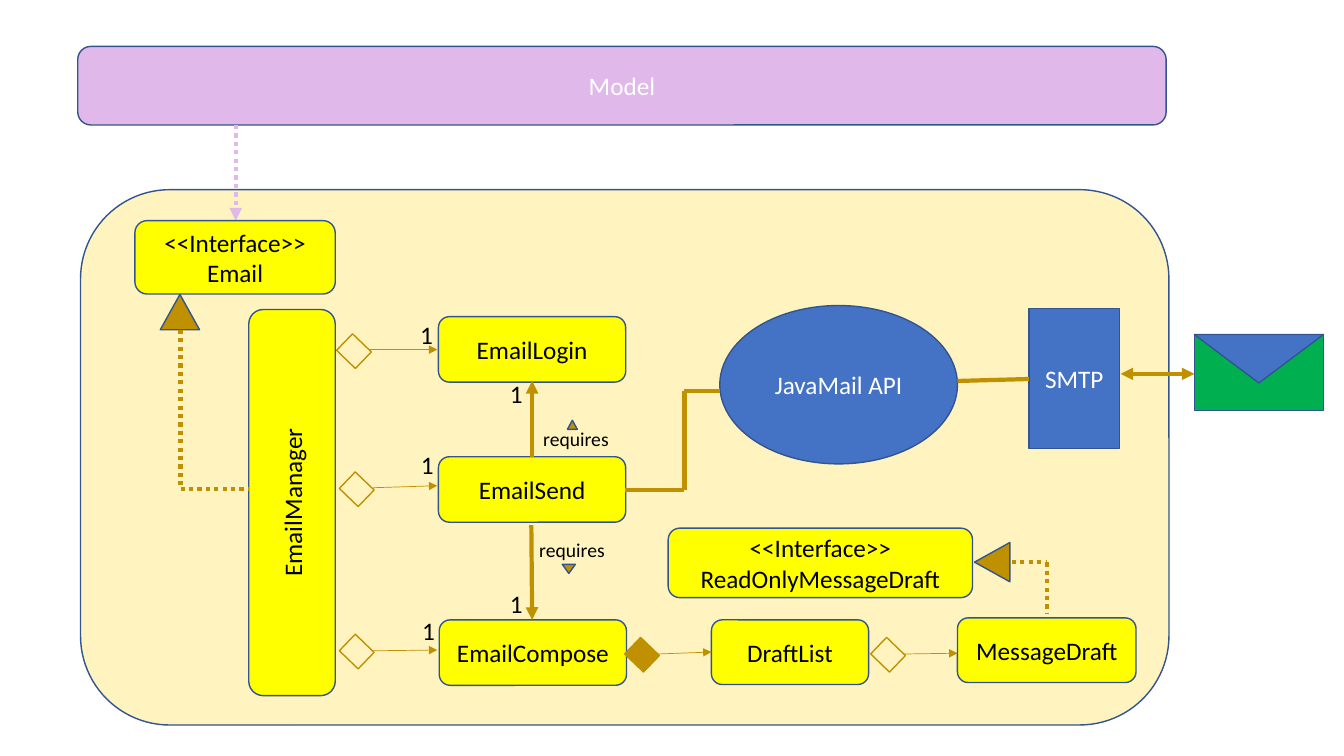
from itertools import pairwise

from lxml.etree import SubElement
from pptx import Presentation
from pptx.dml.color import RGBColor
from pptx.enum.dml import MSO_LINE
from pptx.enum.shapes import MSO_CONNECTOR, MSO_SHAPE
from pptx.enum.text import MSO_ANCHOR, PP_ALIGN
from pptx.oxml.ns import qn
from pptx.util import Cm, Pt

YELLOW, GOLD, CREAM = "FFFF00", "BF9000", "FFF3BF"
LILAC, BLUE, GREEN = "E0B9EA", "4472C4", "00B050"
OUTLINE, BLACK, WHITE = "325491", "000000", "FFFFFF"

ROUNDED = MSO_SHAPE.ROUNDED_RECTANGLE
RECTANGLE = MSO_SHAPE.RECTANGLE
TRIANGLE = MSO_SHAPE.ISOSCELES_TRIANGLE

CLASS_SIZE = (4.72, 1.65)
HEAD_SIZE = (0.99, 0.89)
MARK_SIZE = (0.33, 0.23)


def colour(value):
    return RGBColor.from_string(value)


def write(frame, text, text_colour, size=18, align=PP_ALIGN.CENTER):
    frame.word_wrap = True
    font_format = {"name": "Calibri", "size": Pt(size)}
    for index, line in enumerate(text.split("\n")):
        para = frame.paragraphs[0] if index == 0 else frame.add_paragraph()
        para.alignment = align
        span = para.add_run()
        span.text = line
        for name, value in font_format.items():
            setattr(span.font, name, value)
        span.font.color.rgb = colour(text_colour)


def add_figure(shapes, kind, place, size, fill, outline=OUTLINE, rotation=0):
    figure = shapes.add_shape(kind, *map(Cm, place + size))
    figure.shadow.inherit = False
    figure.rotation = rotation
    figure.fill.solid()
    figure.fill.fore_color.rgb = colour(fill)
    figure.line.color.rgb = colour(outline)
    figure.line.width = Pt(1)
    return figure


def add_box(shapes, text, place, size, fill=YELLOW, text_colour=BLACK, kind=ROUNDED):
    box = add_figure(shapes, kind, place, size, fill)
    box.text_frame.vertical_anchor = MSO_ANCHOR.MIDDLE
    write(box.text_frame, text, text_colour)
    return box


def add_diamond(shapes, place, fill=CREAM):
    add_figure(shapes, RECTANGLE, place, (0.66, 0.58), fill, GOLD, 43.9)


def add_label(shapes, text, place, size, points):
    label = shapes.add_textbox(*map(Cm, place + size))
    write(label.text_frame, text, BLACK, points, PP_ALIGN.LEFT)


def add_line(shapes, start, end, width=3, line_colour=GOLD, dotted=False, ends=()):
    line = shapes.add_connector(MSO_CONNECTOR.STRAIGHT, *map(Cm, start + end))
    line.line.color.rgb = colour(line_colour)
    line.line.width = Pt(width)
    if dotted:
        line.line.dash_style = MSO_LINE.ROUND_DOT
    for end_name in ends:
        SubElement(line.get_or_add_ln(), qn(f"a:{end_name}"), type="triangle")
    SubElement(line.element.spPr, qn("a:effectLst"))


def add_path(shapes, points, dotted=False):
    for start, end in pairwise(points):
        add_line(shapes, start, end, dotted=dotted)


def add_envelope(shapes):
    envelope = shapes.add_group_shape().shapes
    place = (30.1, 8.43)
    add_figure(envelope, RECTANGLE, place, (3.25, 1.91), GREEN)
    add_figure(envelope, TRIANGLE, place, (3.25, 1.22), BLUE, rotation=180)


def add_layers(shapes):
    add_box(shapes, "Model", (1.96, 1.17), (27.43, 1.98), LILAC, WHITE)
    add_figure(shapes, ROUNDED, (2.03, 4.78), (27.43, 13.49), CREAM)
    add_line(shapes, (5.94, 3.15), (5.94, 5.56), line_colour=LILAC,
             dotted=True, ends=("tailEnd",))


def add_classes(shapes):
    manager = add_box(shapes, "EmailManager", (6.27, 7.8), (2.18, 9.73))
    manager.element.txBody.bodyPr.set("vert", "vert270")
    for text, place, size in (
        ("<<Interface>>\nEmail", (3.4, 5.56), (5.05, 1.85)),
        ("EmailLogin", (11.05, 7.98), CLASS_SIZE),
        ("EmailSend", (11.05, 11.51), CLASS_SIZE),
        ("EmailCompose", (11.07, 15.62), CLASS_SIZE),
        ("DraftList", (17.93, 15.62), (3.96, 1.63)),
        ("MessageDraft", (24.13, 15.57), (4.5, 1.63)),
        ("<<Interface>>\nReadOnlyMessageDraft", (16.84, 13.31), (7.67, 1.75)),
    ):
        add_box(shapes, text, place, size)


def add_realizations(shapes):
    add_figure(shapes, TRIANGLE, (4.04, 7.42), HEAD_SIZE, GOLD)
    add_path(shapes, ((4.55, 8.31), (4.55, 12.32), (6.27, 12.32)), dotted=True)
    add_figure(shapes, TRIANGLE, (24.51, 13.72), HEAD_SIZE, GOLD, rotation=270)
    add_path(shapes, ((25.5, 14.17), (26.39, 14.17), (26.39, 15.47)), dotted=True)


def add_aggregations(shapes):
    for diamond, start, end, fill in (
        ((8.59, 8.56), (9.32, 8.81), (11.02, 8.81), CREAM),
        ((8.66, 12.04), (9.4, 12.29), (11.02, 12.24), CREAM),
        ((8.66, 16.13), (9.37, 16.4), (11.02, 16.38), CREAM),
        ((15.85, 16.21), (16.56, 16.48), (17.93, 16.43), GOLD),
        ((22.05, 16.21), (22.76, 16.48), (24.13, 16.46), CREAM),
    ):
        add_diamond(shapes, diamond, fill)
        add_line(shapes, start, end, width=0.5, ends=("tailEnd",))


def add_requirements(shapes):
    add_line(shapes, (13.41, 11.51), (13.41, 9.6), ends=("tailEnd",))
    add_line(shapes, (13.39, 13.23), (13.41, 15.62), ends=("tailEnd",))
    for place in ((13.44, 10.64), (13.34, 13.44)):
        add_label(shapes, "requires", place, (3.1, 0.86), 14)
    add_figure(shapes, TRIANGLE, (14.3, 10.59), (0.25, 0.23), GOLD)
    add_figure(shapes, TRIANGLE, (14.17, 14.22), MARK_SIZE, GOLD, rotation=180)


def add_multiplicities(shapes):
    for place in ((10.34, 7.92), (10.36, 11.2), (10.39, 15.37),
                  (12.6, 9.42), (12.6, 14.71)):
        add_label(shapes, "1", place, (0.85, 1.02), 18)


def add_mail_service(shapes):
    add_envelope(shapes)
    add_box(shapes, "JavaMail API", (18.14, 7.7), (5.99, 3.99), BLUE, WHITE,
            MSO_SHAPE.OVAL)
    add_box(shapes, "SMTP", (25.93, 7.77), (2.29, 3.53), BLUE, WHITE, RECTANGLE)
    add_path(shapes, ((15.75, 12.34), (17.25, 12.34), (17.25, 9.86), (18.14, 9.86)))
    add_line(shapes, (24.13, 9.6), (25.93, 9.55))
    add_line(shapes, (28.24, 9.42), (30.1, 9.42), ends=("headEnd", "tailEnd"))


def main():
    deck = Presentation()
    deck.slide_width, deck.slide_height = Cm(33.87), Cm(19.05)
    page = deck.slides.add_slide(deck.slide_layouts.get_by_name("Blank"))
    for add_part in (add_layers, add_classes, add_realizations, add_aggregations,
                     add_requirements, add_multiplicities, add_mail_service):
        add_part(page.shapes)
    deck.save("out.pptx")


main()
